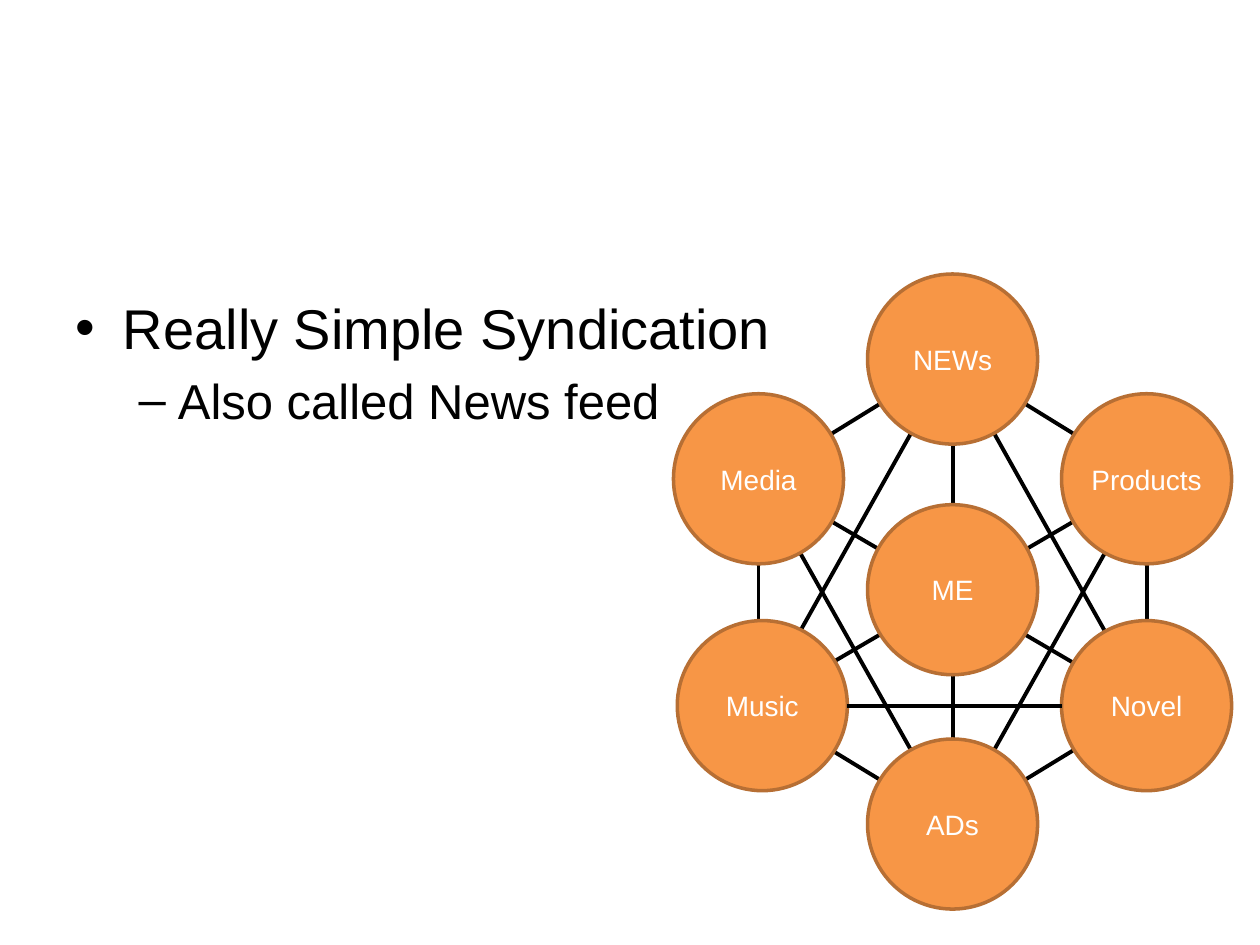
from dataclasses import dataclass

from lxml import etree
from pptx import Presentation
from pptx import util as u
from pptx.dml.color import RGBColor
from pptx.enum import shapes, text
from pptx.oxml.ns import qn


@dataclass(frozen=True)
class Theme:
    """Hold the colours, type sizes and line widths."""
    font: str = "Arial"
    ink: str = "000000"
    pale: str = "FFFFFF"
    fill: str = "F79646"
    rim: str = "B76F34"
    sizes: tuple = (32, 28)
    label: int = 16
    edge: float = 2
    link: float = 2.25


THEME = Theme()
COLS = (6.02, 7.56, 9.1)
ROWS = (2.85, 3.8, 4.68, 5.6, 6.54)
SIZE = 1.35
NUDGE = {"Music": 0.03}
NODES = {
    "Media": (0, 1), "Products": (2, 1), "Novel": (2, 3), "Music": (0, 3),
    "ME": (1, 2), "ADs": (1, 4), "NEWs": (1, 0),
}
LINKS = (
    ("NEWs", "Novel"), ("NEWs", "Music"), ("Media", "ADs"), ("Products", "ADs"),
    ("Products", "Novel"), ("Media", "Music"), ("NEWs", "Media"),
    ("NEWs", "Products"), ("ADs", "Music"), ("ADs", "Novel"),
    ("Music", "Products"), ("Novel", "Media"), ("NEWs", "ADs"),
)
POINTS = ("Really Simple Syndication", "Also called News feed")


def spot(name):
    """Return the grid point of a node in inches."""
    col, row = NODES[name]
    return COLS[col], ROWS[row]


def write(para, words, size, color):
    """Add one styled run to a paragraph."""
    run = para.add_run()
    run.text = words
    run.font.name = THEME.font
    run.font.size = u.Pt(size)
    run.font.color.rgb = RGBColor.from_string(color)


def body(slide):
    """Place the bullet list in the body placeholder."""
    box = slide.placeholders[1]
    box.left, box.top = u.Inches(0.5), u.Inches(2.28)
    box.width, box.height = u.Inches(9), u.Inches(4.42)
    frame = box.text_frame
    for level, words in enumerate(POINTS):
        para = frame.add_paragraph() if level else frame.paragraphs[0]
        para.level = level
        write(para, words, THEME.sizes[level], THEME.ink)


def link(slide, start, end):
    """Draw a plain line between two points."""
    ends = [u.Inches(n) for n in (*start, *end)]
    line = slide.shapes.add_connector(shapes.MSO_CONNECTOR.STRAIGHT, *ends)
    line.line.color.rgb = RGBColor.from_string(THEME.ink)
    line.line.width = u.Pt(THEME.link)
    etree.SubElement(line._element.spPr, qn("a:effectLst"))


def node(slide, name):
    """Draw a labelled circle centred on its grid point."""
    x, y = spot(name)
    left = x + NUDGE.get(name, 0) - SIZE / 2
    disc = slide.shapes.add_shape(
        shapes.MSO_SHAPE.OVAL, u.Inches(left), u.Inches(y - SIZE / 2),
        u.Inches(SIZE), u.Inches(SIZE))
    disc.shadow.inherit = False
    disc.fill.solid()
    disc.fill.fore_color.rgb = RGBColor.from_string(THEME.fill)
    disc.line.color.rgb = RGBColor.from_string(THEME.rim)
    disc.line.width = u.Pt(THEME.edge)
    frame = disc.text_frame
    frame.margin_left = frame.margin_right = 0
    frame.margin_top = frame.margin_bottom = 0
    frame.word_wrap = False
    frame.vertical_anchor = text.MSO_ANCHOR.MIDDLE
    para = frame.paragraphs[0]
    para.alignment = text.PP_ALIGN.CENTER
    write(para, name, THEME.label, THEME.pale)


def main():
    """Build and save the slide."""
    deck = Presentation()
    deck.slide_width, deck.slide_height = u.Inches(10), u.Inches(7.5)
    slide = deck.slides.add_slide(deck.slide_layouts[1])
    title = slide.shapes.title._element
    title.getparent().remove(title)
    body(slide)
    for start, end in LINKS:
        link(slide, spot(start), spot(end))
    for name in NODES:
        node(slide, name)
    (left, y), (right, _) = spot("Music"), spot("Novel")
    link(slide, (left + NUDGE["Music"] + SIZE / 2, y), (right - SIZE / 2, y))
    deck.save("out.pptx")


if __name__ == "__main__":
    main()
